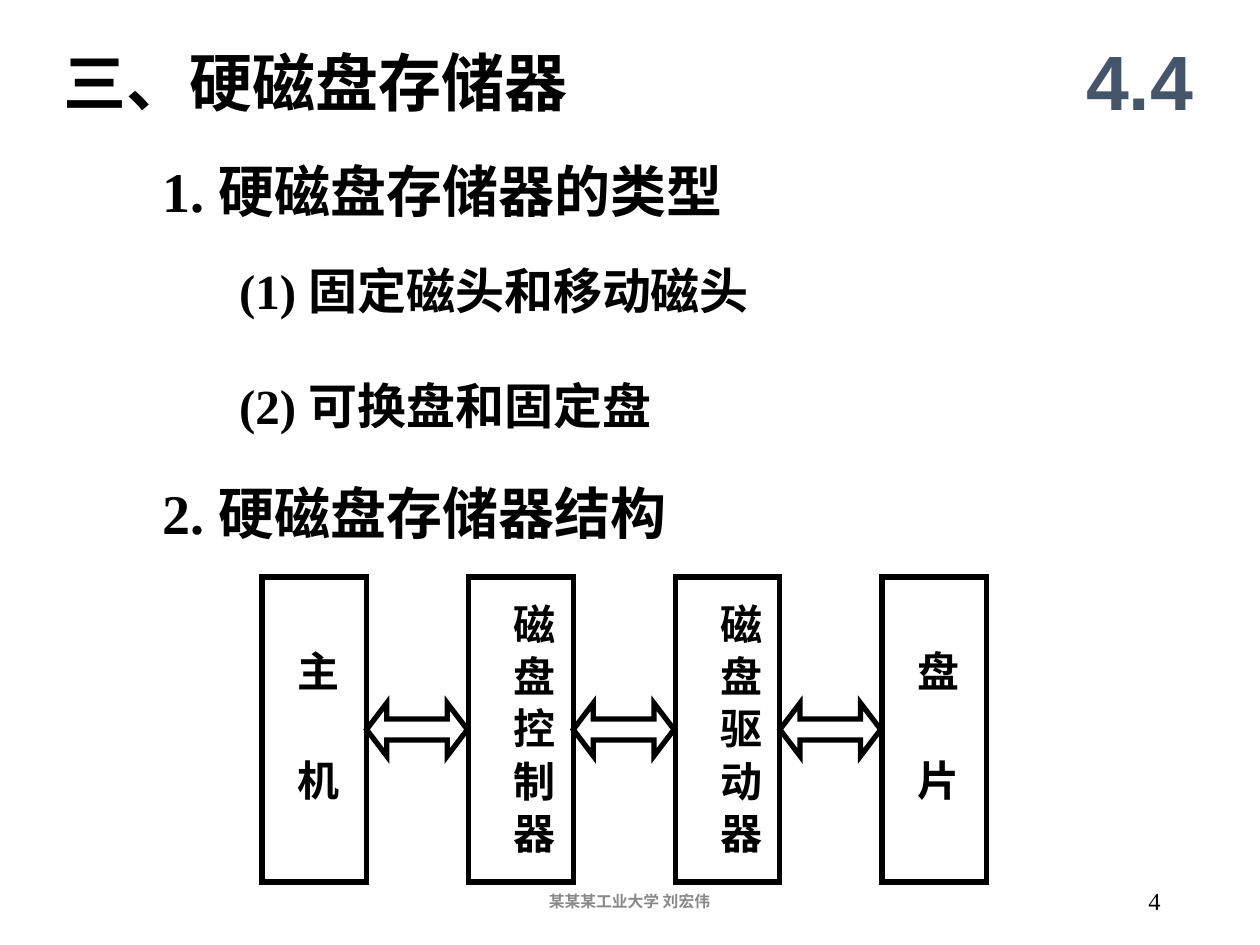
from lxml.etree import SubElement
from pptx import Presentation
from pptx.dml.color import RGBColor
from pptx.enum.shapes import MSO_SHAPE
from pptx.enum.text import MSO_ANCHOR, MSO_AUTO_SIZE, PP_ALIGN
from pptx.oxml.ns import qn
from pptx.util import Inches, Pt

SERIF = "Times New Roman"
CJK = "Noto Sans CJK SC"
BLACK = "000000"


def color(hex_code):
    """Turn a hex string into a colour."""
    return RGBColor.from_string(hex_code)


def add_text(slide, box, runs, size, font=SERIF, ink=BLACK, bold=True, before=0,
             align=PP_ALIGN.LEFT, anchor=MSO_ANCHOR.TOP, vertical=False):
    """Place one paragraph made of (text, letter spacing) runs."""
    frame = slide.shapes.add_textbox(*map(Inches, box)).text_frame
    frame.word_wrap = not vertical
    frame.auto_size = MSO_AUTO_SIZE.SHAPE_TO_FIT_TEXT if vertical else MSO_AUTO_SIZE.NONE
    frame.vertical_anchor = anchor
    if vertical:
        frame.margin_left = frame.margin_right = Inches(0.05)
        frame.margin_top = frame.margin_bottom = Inches(0.1)
        frame._txBody.bodyPr.set("vert", "eaVert")
    paragraph = frame.paragraphs[0]
    paragraph.alignment = align
    paragraph.space_before = Pt(before)
    for text, spacing in runs:
        run = paragraph.add_run()
        run.text = text
        run.font.size = Pt(size)
        run.font.name = font
        run.font.bold = bold
        run.font.color.rgb = color(ink)
        properties = run._r.get_or_add_rPr()
        SubElement(properties, qn("a:ea")).set("typeface", CJK)
        if spacing:
            properties.set("spc", str(int(spacing * 100)))


def add_outline(slide, kind, box):
    """Place an unfilled shape with a thick black outline."""
    shape = slide.shapes.add_shape(kind, *map(Inches, box))
    shape.shadow.inherit = False
    shape.fill.background()
    shape.line.color.rgb = color(BLACK)
    shape.line.width = Pt(3)
    SubElement(shape.line._get_or_add_ln(), qn("a:miter")).set("lim", "800000")
    return shape


def add_header(slide, left, top):
    """Place the section title and the section number."""
    add_text(slide, (left, top, 4.4, 0.7), [("三、硬磁盘存储器", 0)], 36, before=9)
    add_text(slide, (left + 8.01, top - 0.13, 1.25, 0.92), [("4.4", 0)], 44, "Arial",
             "44546A", before=11, align=PP_ALIGN.CENTER, anchor=MSO_ANCHOR.MIDDLE)


def add_outline_text(slide, left, top):
    """Place the numbered headings and their indented points."""
    headings = [(0, "1. 硬磁盘存储器的类型"), (2.56, "2. 硬磁盘存储器结构")]
    points = [(0.83, "(1) 固定磁头和移动磁头"), (1.74, "(2) 可换盘和固定盘")]
    for offset, text in headings:
        add_text(slide, (left, top + offset, 5.1, 0.64), [(text, 0)], 32, before=8)
    for offset, text in points:
        add_text(slide, (left + 0.61, top + offset, 5.45, 0.57), [(text, 0)], 28, before=7)


def add_structure(slide, left, top):
    """Place the chain of four units joined by double arrows."""
    pitch, width, height = 1.64, 0.83, 2.42
    units = [
        [("主 ", 16.5), ("机", 0)],
        [("磁 盘 控 制 器", 0)],
        [("磁 盘 驱 动 器", 0)],
        [("盘 ", 16.5), ("片", 0)],
    ]
    for index, label in enumerate(units):
        x = left + index * pitch
        inset, drop, length = (0.09, 0.48, 1.3) if len(label) == 2 else (0.16, 0.11, 2.07)
        add_text(slide, (x + inset, top + drop, 0.6, length), label, 24, before=6,
                 vertical=True)
        add_outline(slide, MSO_SHAPE.RECTANGLE, (x, top, width, height))
    for index in range(len(units) - 1):
        arrow = add_outline(slide, MSO_SHAPE.LEFT_RIGHT_ARROW,
                            (left + width + index * pitch, top + 1, 0.8, 0.42))
        arrow.adjustments[0] = 0.4
        arrow.adjustments[1] = 0.38


def add_footer(slide, left, top):
    """Place the lecturer line and the page number."""
    add_text(slide, (left, top, 3.37, 0.4), [("某某某工业大学 刘宏伟", 0)], 9, CJK, "898989",
             before=2.2, align=PP_ALIGN.CENTER, anchor=MSO_ANCHOR.MIDDLE)
    add_text(slide, (left + 3.75, top, 2.25, 0.4), [("4", 0)], 14, bold=False,
             before=3.5, align=PP_ALIGN.RIGHT, anchor=MSO_ANCHOR.MIDDLE)


def main():
    """Build and save the slide."""
    deck = Presentation()
    deck.slide_width, deck.slide_height = Inches(10), Inches(7.5)
    slide = deck.slides.add_slide(deck.slide_layouts[6])
    add_header(slide, 0.41, 0.3)
    add_outline_text(slide, 1.19, 1.19)
    add_structure(slide, 2.08, 4.58)
    add_footer(slide, 3.31, 6.95)
    deck.save("out.pptx")


main()
